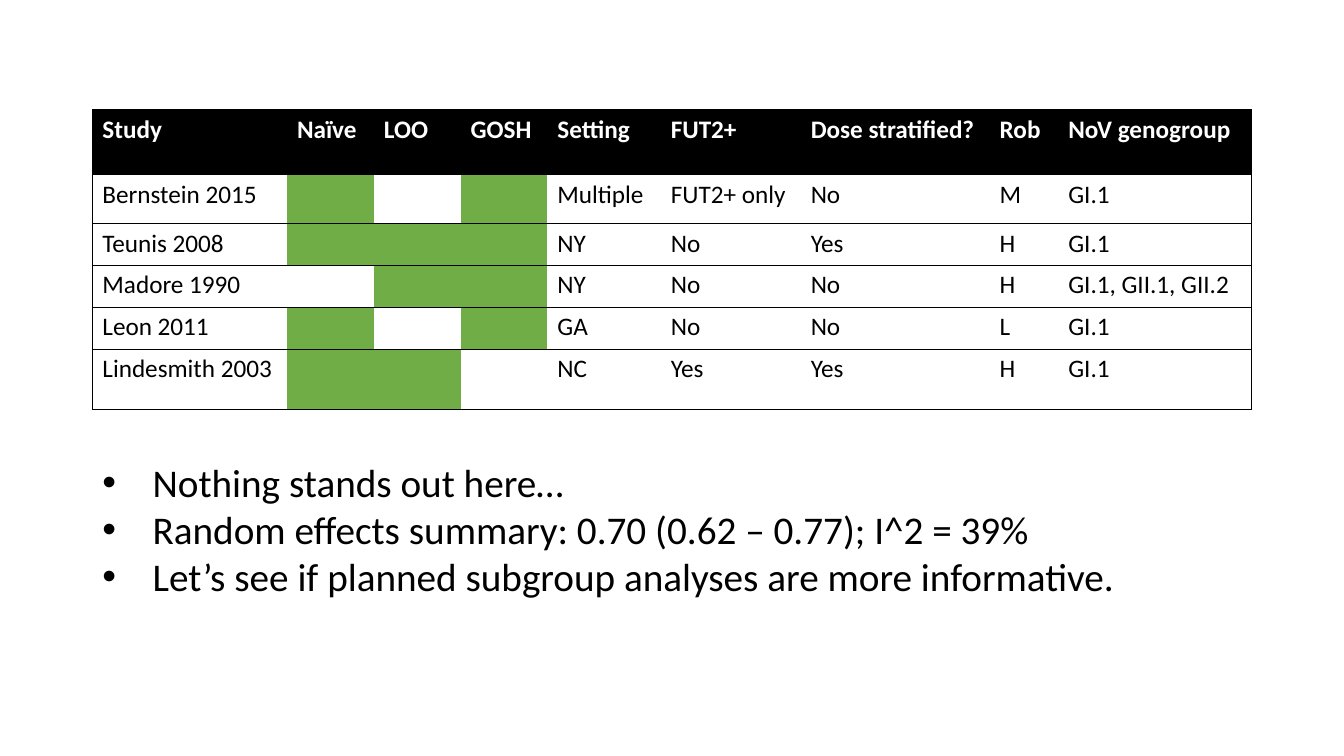
"""Build a slide with a table of studies and three remarks."""
from lxml.etree import SubElement
from pptx import Presentation
from pptx.dml.color import RGBColor
from pptx.enum.text import MSO_AUTO_SIZE
from pptx.oxml import parse_xml
from pptx.oxml.ns import nsdecls, qn
from pptx.util import Pt

BLACK = RGBColor(0, 0, 0)
WHITE = RGBColor(255, 255, 255)
GREEN = RGBColor(0x70, 0xAD, 0x47)
FONT = "Calibri"

HEADS = ["Study", "Naïve", "LOO", "GOSH", "Setting", "FUT2+",
         "Dose stratified?", "Rob", "NoV genogroup"]
ROWS = [
    ["Bernstein 2015", True, False, True, "Multiple", "FUT2+ only", "No", "M", "GI.1"],
    ["Teunis 2008", True, True, True, "NY", "No", "Yes", "H", "GI.1"],
    ["Madore 1990", False, True, True, "NY", "No", "No", "H", "GI.1, GII.1, GII.2"],
    ["Leon 2011", True, False, True, "GA", "No", "No", "L", "GI.1"],
    ["Lindesmith 2003", True, True, False, "NC", "Yes", "Yes", "H", "GI.1"],
]
WIDTHS = [139, 62, 62, 62, 81, 100, 135, 49, 138]
HEIGHTS = [46, 35, 30, 30, 30, 43]
NOTES = [
    "Nothing stands out here…",
    "Random effects summary: 0.70 (0.62 – 0.77); I^2 = 39%",
    "Let’s see if planned subgroup analyses are more informative.",
]


def write(para, text, size=18, color=BLACK, bold=False):
    run = para.add_run()
    run.text = text
    font = run.font
    font.name, font.size, font.bold = FONT, Pt(size), bold
    font.color.rgb = color


def set_lines(cell, sides):
    props = cell._tc.get_or_add_tcPr()
    for place, side in enumerate("LRTB"):
        paint = f'<a:solidFill><a:srgbClr val="{BLACK}"/></a:solidFill>'
        if side not in sides:
            paint = "<a:noFill/>"
        line = f'<a:ln{side} w="{Pt(0.5)}" {nsdecls("a")}>{paint}</a:ln{side}>'
        props.insert(place, parse_xml(line))


def set_fill(cell, color):
    if color is None:
        cell.fill.background()
    else:
        cell.fill.solid()
        cell.fill.fore_color.rgb = color


def add_grid(slide, left, top):
    frame = slide.shapes.add_table(len(HEIGHTS), len(WIDTHS), Pt(left), Pt(top),
                                   Pt(sum(WIDTHS)), Pt(sum(HEIGHTS)))
    table = frame.table
    table.horz_banding = False
    for col, width in zip(table.columns, WIDTHS):
        col.width = Pt(width)
    for row, height in zip(table.rows, HEIGHTS):
        row.height = Pt(height)
    for i, items in enumerate([HEADS] + ROWS):
        for j, item in enumerate(items):
            cell = table.cell(i, j)
            head = i == 0
            set_fill(cell, BLACK if head else GREEN if item is True else None)
            sides = "TB" + "L" * (j == 0) + "R" * (j == len(WIDTHS) - 1)
            set_lines(cell, sides)
            if isinstance(item, str):
                write(cell.text_frame.paragraphs[0], item,
                      color=WHITE if head else BLACK, bold=head)


def add_bullets(slide, items, left, top, width, height):
    box = slide.shapes.add_textbox(Pt(left), Pt(top), Pt(width), Pt(height))
    frame = box.text_frame
    frame.word_wrap = True
    frame.auto_size = MSO_AUTO_SIZE.SHAPE_TO_FIT_TEXT
    for i, item in enumerate(items):
        para = frame.add_paragraph() if i else frame.paragraphs[0]
        write(para, item, size=28)
        props = para._p.get_or_add_pPr()
        props.set("marL", str(Pt(36)))
        props.set("indent", str(-Pt(36)))
        SubElement(props, qn("a:buFont"), typeface="Arial")
        SubElement(props, qn("a:buChar"), char="•")


def main():
    deck = Presentation()
    deck.slide_width, deck.slide_height = Pt(960), Pt(540)
    slide = deck.slides.add_slide(deck.slide_layouts[6])
    add_grid(slide, 66, 78.3)
    add_bullets(slide, NOTES, 66, 324, 828, 109)
    deck.save("out.pptx")


if __name__ == "__main__":
    main()
